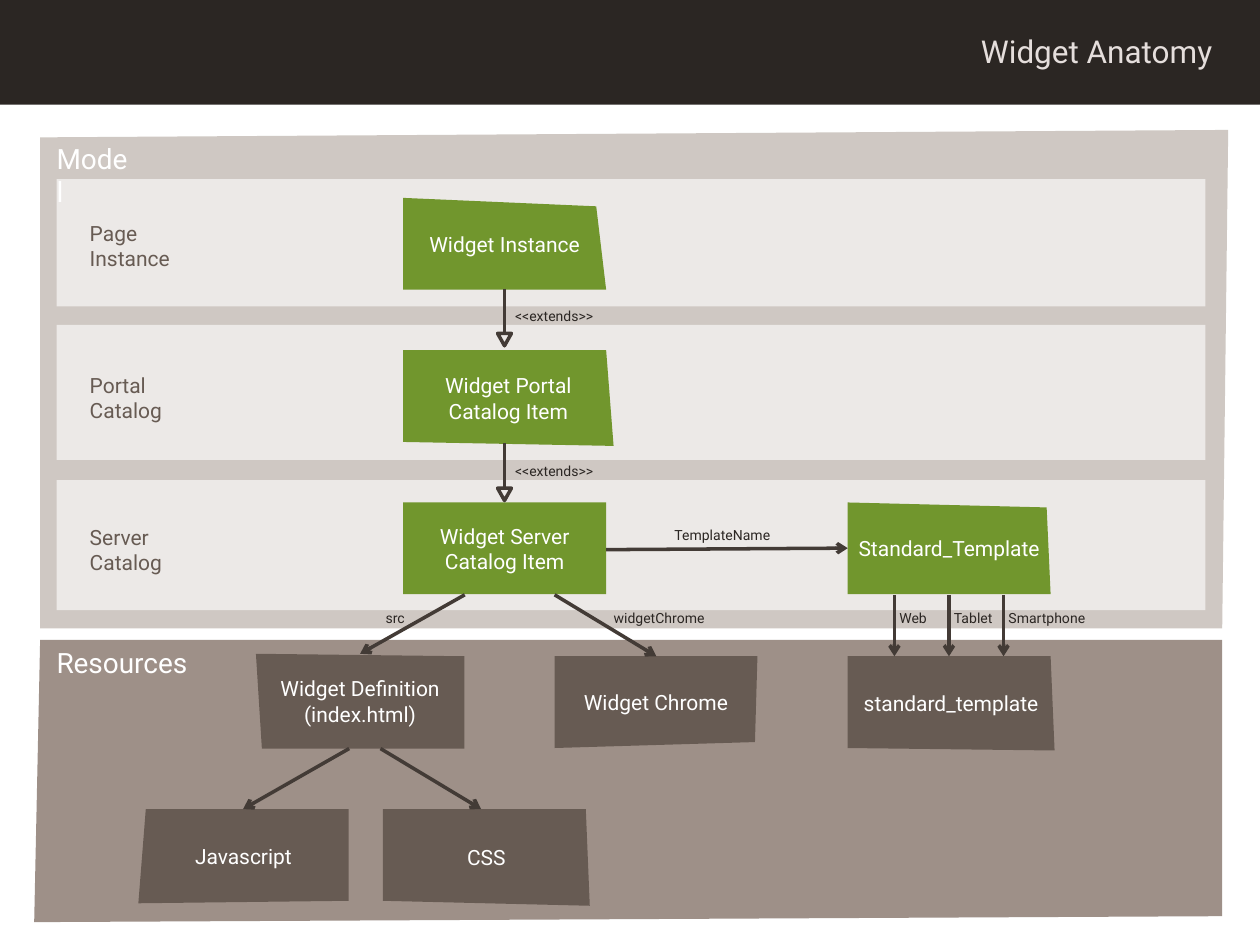
from dataclasses import dataclass

from lxml.etree import SubElement
from pptx import Presentation
from pptx.dml.color import RGBColor
from pptx.enum.shapes import MSO_CONNECTOR as Connector, MSO_SHAPE as Shape
from pptx.enum.text import MSO_ANCHOR as Anchor, PP_ALIGN as Align
from pptx.oxml.ns import qn
from pptx.util import Cm, Pt


@dataclass(frozen=True)
class Theme:
    font: str = "Roboto"
    header: str = "2B2623"
    title: str = "E5DEDC"
    model: str = "CFC8C3"
    band: str = "ECE9E7"
    resources: str = "9E9088"
    widget: str = "71962D"
    resource: str = "675B53"
    line: str = "433B36"
    white: str = "FFFFFF"
    title_size: int = 18
    heading_size: int = 16
    body_size: int = 12
    note_size: int = 8
    line_width: int = 2


THEME = Theme()


@dataclass(frozen=True)
class Box:
    """An area in centimetres."""
    x: float
    y: float
    w: float
    h: float

    def at(self, dx, dy):
        return self.x + dx, self.y + dy

    def inner(self, dx, dy, w, h):
        return Box(*self.at(dx, dy), w, h)

    def lengths(self):
        return Cm(self.x), Cm(self.y), Cm(self.w), Cm(self.h)


# Building parts
def write(shape, text, size, color, align=Align.LEFT, wrap=True):
    frame = shape.text_frame
    frame.text = text
    frame.word_wrap = wrap
    for para in frame.paragraphs:
        para.alignment = align
        for span in para.runs:
            span.font.name = THEME.font
            span.font.size = Pt(size)
            span.font.color.rgb = RGBColor.from_string(color)
    return frame


def add_label(page, box, text, size, color, align=Align.LEFT, wrap=True):
    label = page.shapes.add_textbox(*box.lengths())
    return write(label, text, size, color, align, wrap)


def add_note(page, x, y, width, text, align=Align.LEFT):
    add_label(page, Box(x, y, width, 0.61), text, THEME.note_size, THEME.header, align)


def add_panel(page, box, fill, corners=None):
    """A rectangle, or an outline whose corners are offsets in the box."""
    if corners:
        points = [(Cm(x), Cm(y)) for x, y in (box.at(*corner) for corner in corners)]
        builder = page.shapes.build_freeform(*points[0])
        builder.add_line_segments(points[1:], close=True)
        panel = builder.convert_to_shape()
    else:
        panel = page.shapes.add_shape(Shape.RECTANGLE, *box.lengths())
    panel.shadow.inherit = False
    panel.fill.solid()
    panel.fill.fore_color.rgb = RGBColor.from_string(fill)
    panel.line.fill.background()
    return panel


def add_block(page, box, text, fill, corners=None):
    block = add_panel(page, box, fill, corners)
    frame = write(block, text, THEME.body_size, THEME.white, Align.CENTER, wrap=False)
    frame.vertical_anchor = Anchor.MIDDLE


def style_line(line):
    line.color.rgb = RGBColor.from_string(THEME.line)
    line.width = Pt(THEME.line_width)


def add_line(page, start, end, arrow=True):
    line = page.shapes.add_connector(
        Connector.STRAIGHT, *(Cm(length) for length in (*start, *end)))
    style_line(line.line)
    properties = line.line._get_or_add_ln()
    if arrow:
        SubElement(properties, qn("a:tailEnd"), type="arrow")
    SubElement(properties.getparent(), qn("a:effectLst"))


def add_extends(page, x, y):
    """A line with a hollow triangle that points to the parent item."""
    add_line(page, (x, y), (x, y + 0.9), arrow=False)
    head = page.shapes.add_shape(
        Shape.ISOSCELES_TRIANGLE, *Box(x - 0.14, y + 0.9, 0.28, 0.25).lengths())
    head.rotation = 180
    head.shadow.inherit = False
    head.fill.background()
    style_line(head.line)
    add_note(page, x - 0.86, y + 0.25, 3.73, "<<extends>>", Align.CENTER)


# Regions
def draw_header(page, box):
    add_panel(page, box, THEME.header)
    title = add_label(page, box.inner(7.29, 0.51, 17.4, 1.02), "Widget Anatomy",
                      THEME.title_size, THEME.title, Align.RIGHT)
    title.vertical_anchor = Anchor.MIDDLE


def draw_band(page, box, label, label_y, block, block_y, size, corners):
    add_panel(page, box, THEME.band)
    add_label(page, box.inner(0.42, label_y, 2.15, 1.27), label,
              THEME.body_size, THEME.resource)
    add_block(page, box.inner(6.99, block_y, *size), block, THEME.widget, corners)


def draw_model(page, box):
    add_panel(page, box, THEME.model,
              [(0, 0.15), (box.w, 0), (23.83, box.h), (0, box.h)])
    bands = [
        (0.99, 2.57, "Page Instance", 0.71, "Widget Instance", 0.38, (4.09, 1.85),
         [(0, 0), (3.89, 0.17), (4.09, 1.85), (0, 1.85)]),
        (3.93, 2.72, "Portal Catalog", 0.84, "Widget Portal\nCatalog Item", 0.51,
         (4.24, 1.93), [(0, 0), (4.09, 0), (4.24, 1.93), (0, 1.85)]),
        (7.06, 2.62, "Server Catalog", 0.76, "Widget Server\nCatalog Item", 0.45,
         (4.09, 1.85), None),
    ]
    for y, height, *content in bands:
        draw_band(page, box.inner(0.33, y, 23.16, height), *content)
    add_block(page, box.inner(16.28, 7.51, 4.09, 1.85), "Standard_Template",
              THEME.widget, [(0, 0), (4.01, 0.1), (4.09, 1.85), (0, 1.85)])
    add_line(page, box.at(11.41, 8.46), box.at(16.28, 8.43))
    add_note(page, *box.at(11.89, 7.87), 3.73, "TemplateName", Align.CENTER)
    for y in (3.2, 6.32):
        add_extends(page, *box.at(9.36, y))
    add_label(page, box.inner(0.08, 0.1, 2.06, 0.91), "Model",
              THEME.heading_size, THEME.white, wrap=False)


def draw_resources(page, box):
    add_panel(page, box, THEME.resources,
              [(0.12, 0), (box.w, 0), (box.w, 5.57), (0, box.h)])
    blocks = [
        (4.47, 0.28, "Widget Definition\n(index.html)",
         [(0, 0), (4.2, 0.05), (4.2, 1.91), (0.12, 1.91)]),
        (10.49, 0.33, "Widget Chrome",
         [(0, 0), (4.09, 0), (4.04, 1.73), (0, 1.85)]),
        (16.4, 0.33, "standard_template",
         [(0, 0), (4.09, 0), (4.17, 1.9), (0, 1.85)]),
        (2.1, 3.41, "Javascript",
         [(0.15, 0), (4.24, 0), (4.24, 1.85), (0, 1.9)]),
        (7.03, 3.41, "CSS",
         [(0, 0), (4.09, 0), (4.17, 1.95), (0, 1.85)]),
    ]
    for x, y, text, corners in blocks:
        width, height = (max(side) for side in zip(*corners))
        add_block(page, box.inner(x, y, width, height), text, THEME.resource, corners)
    for start_x, end_x in ((6.35, 4.21), (6.98, 9.01)):
        add_line(page, box.at(start_x, 2.19), box.at(end_x, 3.41))
    add_label(page, box.inner(0.2, -0.02, 3.15, 0.91), "Resources",
              THEME.heading_size, THEME.white, wrap=False)


def draw_links(page, box):
    """Arrows from the model down to the resources."""
    note_y = 0.18
    add_line(page, box.at(0.33, 0), box.at(-1.78, 1.19))
    add_note(page, *box.at(-2, note_y), 1.37, "src", Align.RIGHT)
    add_line(page, box.at(2.14, 0), box.at(4.19, box.h))
    add_note(page, *box.at(3.08, note_y), 3.12, "widgetChrome")
    for column, device in enumerate(("Web", "Tablet", "Smartphone")):
        x = 8.99 + 1.1 * column
        add_line(page, box.at(x, 0), box.at(x, box.h))
        add_note(page, *box.at(x - 0.15, note_y), 2.3, device)


def main():
    deck = Presentation()
    deck.slide_width, deck.slide_height = Cm(25.4), Cm(19.05)
    page = deck.slides.add_slide(deck.slide_layouts[6])
    draw_header(page, Box(0, 0, 25.4, 2.11))
    draw_resources(page, Box(0.69, 12.9, 23.95, 5.69))
    draw_model(page, Box(0.81, 2.62, 23.95, 10.05))
    draw_links(page, Box(9.04, 11.99, 12, 1.24))
    deck.save("out.pptx")


if __name__ == "__main__":
    main()
